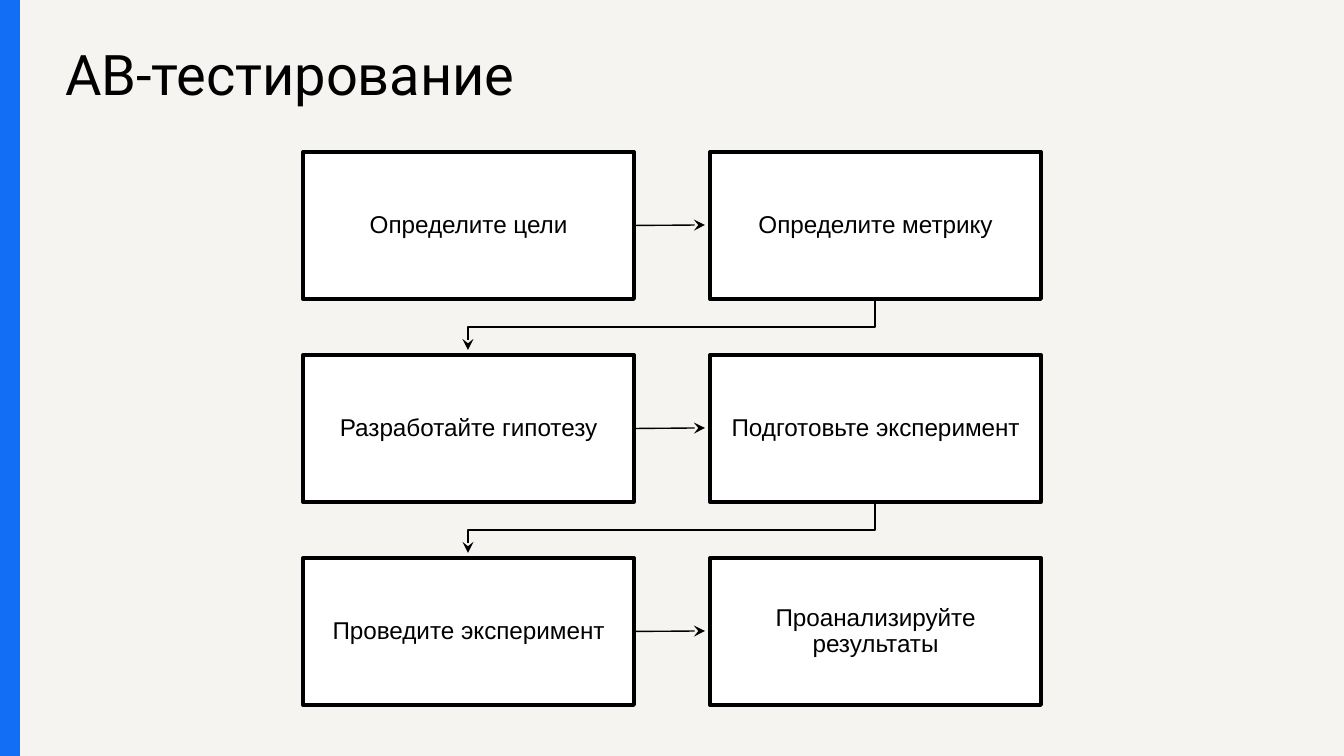
from lxml.etree import SubElement
from pptx import Presentation
from pptx.dml.color import RGBColor
from pptx.enum.shapes import MSO_CONNECTOR, MSO_SHAPE
from pptx.enum.text import MSO_ANCHOR, MSO_AUTO_SIZE, PP_ALIGN
from pptx.oxml.ns import qn
from pptx.util import Emu, Pt

EMU_PER_PX = 914400 / 134.4
COLORS = {"background": "F5F4F0", "accent": "136EF6", "ink": "000000", "box": "FFFFFF"}
INSET = 13

# Flow grid
BOX_LEFT, BOX_TOP, BOX_WIDTH, BOX_HEIGHT = 303, 152, 331, 147
COLUMN_STEP, ROW_STEP = 407, 203
ARROW_GAP, ELBOW_DROP = 5, 28
STEPS = [
    ("Определите цели", "Определите метрику"),
    ("Разработайте гипотезу", "Подготовьте эксперимент"),
    ("Проведите эксперимент", "Проанализируйте результаты"),
]


def px(length):
    return Emu(round(length * EMU_PER_PX))


def color(name):
    return RGBColor.from_string(COLORS[name])


class SlideBuilder:
    def __init__(self, page):
        self.page = page
        page.background.fill.solid()
        page.background.fill.fore_color.rgb = color("background")

    def add_text(self, shape, text, font, frame_format, para_format):
        frame = shape.text_frame
        margins = ("margin_left", "margin_top", "margin_right", "margin_bottom")
        for name, value in (frame_format | dict.fromkeys(margins, px(INSET))).items():
            setattr(frame, name, value)
        para = frame.paragraphs[0]
        for name, value in para_format.items():
            setattr(para, name, value)
        span = para.add_run()
        span.text = text
        for name, value in font.items():
            setattr(span.font, name, value)
        span.font.color.rgb = color("ink")

    def title(self, text, left, top, width, height):
        title = self.page.shapes.title
        place = {"left": left, "top": top, "width": width, "height": height}
        for name, value in place.items():
            setattr(title, name, px(value))
        self.add_text(title, text, {"name": "Roboto", "size": Pt(30)},
                      {"vertical_anchor": MSO_ANCHOR.TOP, "word_wrap": True,
                       "auto_size": MSO_AUTO_SIZE.NONE},
                      {"alignment": PP_ALIGN.LEFT})

    def rectangle(self, left, top, width, height, fill):
        box = self.page.shapes.add_shape(
            MSO_SHAPE.RECTANGLE, px(left), px(top), px(width), px(height))
        box.shadow.inherit = False
        box.fill.solid()
        box.fill.fore_color.rgb = color(fill)
        box.line.fill.background()
        return box

    def step(self, text, left, top):
        box = self.rectangle(left, top, BOX_WIDTH, BOX_HEIGHT, "box")
        box.line.color.rgb = color("ink")
        box.line.width = Pt(2)
        self.add_text(box, text, {"name": "Arial", "size": Pt(13)},
                      {"vertical_anchor": MSO_ANCHOR.MIDDLE, "word_wrap": True},
                      {"alignment": PP_ALIGN.CENTER, "line_spacing": 0.9})
        return box

    def arrow_line(self, shape):
        shape.line.color.rgb = color("ink")
        shape.line.width = Pt(0.75)
        outline = shape._element.spPr.find(qn("a:ln"))
        SubElement(outline, qn("a:tailEnd"), type="stealth")

    def arrow(self, box, start, end):
        connector = self.page.shapes.add_connector(
            MSO_CONNECTOR.STRAIGHT, *map(px, start + end))
        connector.begin_connect(box, 3)
        self.arrow_line(connector)
        SubElement(connector._element.spPr, qn("a:effectLst"))

    def elbow(self, points):
        builder = self.page.shapes.build_freeform(*points[0], scale=EMU_PER_PX)
        builder.add_line_segments(points[1:], close=False)
        bend = builder.convert_to_shape()
        bend.shadow.inherit = False
        bend.fill.background()
        self.arrow_line(bend)


def main():
    deck = Presentation()
    deck.slide_width, deck.slide_height = px(1344), px(756)
    slide = SlideBuilder(deck.slides.add_slide(deck.slide_layouts[5]))

    # Title and side bar
    slide.title("AB-тестирование", 52, 27, 890, 137)
    slide.rectangle(0, 0, 20, 756, "accent")

    # Steps, row by row, with arrows between them
    right_left = BOX_LEFT + COLUMN_STEP
    left_center = BOX_LEFT + BOX_WIDTH // 2
    right_center = left_center + COLUMN_STEP
    for row, (left_text, right_text) in enumerate(STEPS):
        top = BOX_TOP + row * ROW_STEP
        middle, bottom = top + BOX_HEIGHT // 2, top + BOX_HEIGHT
        box = slide.step(left_text, BOX_LEFT, top)
        slide.step(right_text, right_left, top)
        slide.arrow(box, (BOX_LEFT + BOX_WIDTH, middle), (right_left - ARROW_GAP, middle))
        if row < len(STEPS) - 1:
            turn = bottom + ELBOW_DROP
            slide.elbow([(right_center, bottom), (right_center, turn),
                         (left_center, turn), (left_center, top + ROW_STEP - ARROW_GAP)])

    deck.save("out.pptx")


if __name__ == "__main__":
    main()
